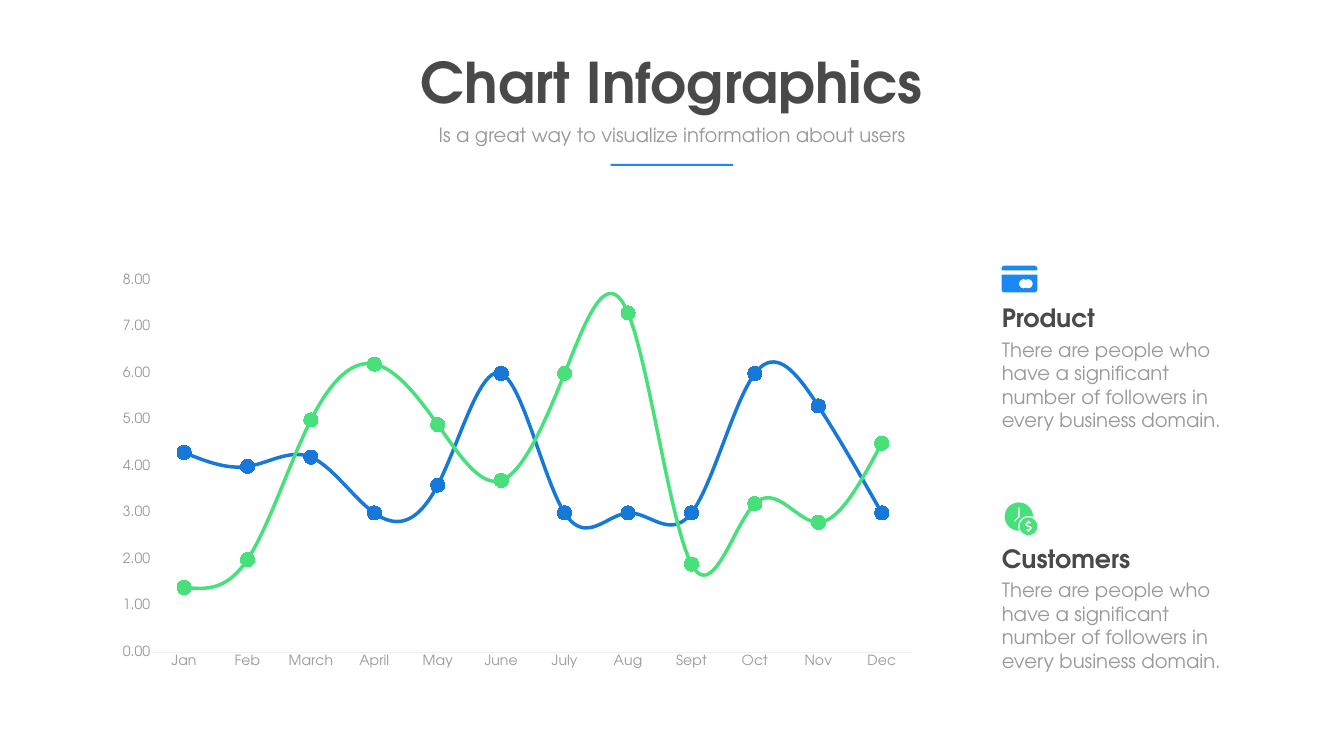
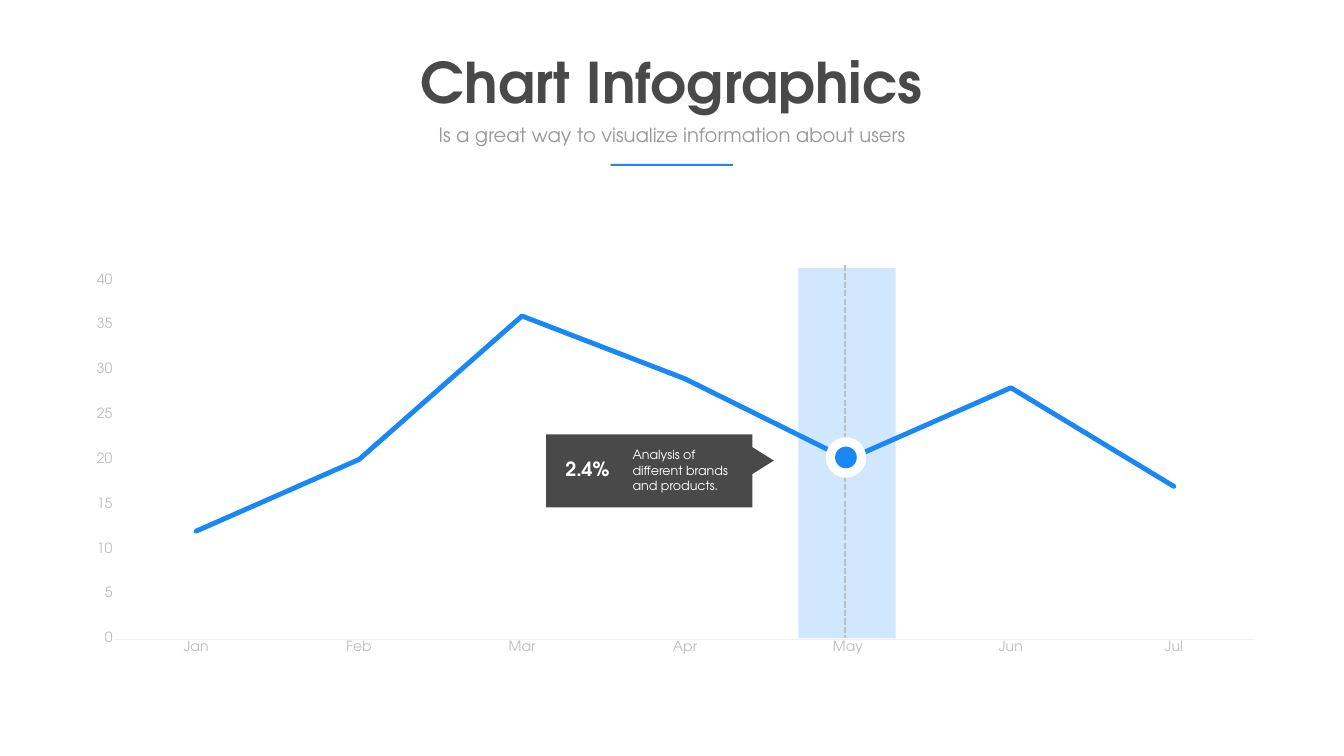
"""Build two line chart slides with a shared title band."""
import dataclasses
import math
import typing

import lxml.etree
import pptx
import pptx.chart.data
import pptx.dml.color
import pptx.enum.chart
import pptx.enum.dml
import pptx.enum.shapes
import pptx.enum.text
import pptx.oxml
import pptx.oxml.ns
import pptx.util

Pt = pptx.util.Pt
Kind = pptx.enum.shapes.MSO_SHAPE
Plot = pptx.enum.chart.XL_CHART_TYPE
Align = pptx.enum.text.PP_ALIGN
Dot = tuple[float, float]
Ring = list[Dot]

FACE = "TeX Gyre Adventor"
HUES = {
    "dark": "494949", "gray": "999999", "pale": "BDBDBD", "axis": "F0F0F0",
    "blue": "1988F5", "deep": "1679D9", "green": "48E07B", "sky": "D1E7FD",
    "dash": "BFBFBF", "white": "FFFFFF",
}
FONTS = {
    "title": {"size": Pt(80), "bold": True},
    "head": {"size": Pt(36), "bold": True},
    "stat": {"size": Pt(28), "bold": True},
    "body": {"size": Pt(28), "bold": False},
    "note": {"size": Pt(18), "bold": False},
    "label": {"size": Pt(20), "bold": False},
}
BLURB = ("There are people who have a significant number of followers "
         "in every business domain.")


@dataclasses.dataclass
class Box:
    """Place and size in points."""
    x: float
    y: float
    w: float
    h: float

    def span(self) -> list[int]:
        """Return the four lengths."""
        return [Pt(v) for v in (self.x, self.y, self.w, self.h)]


@dataclasses.dataclass
class Label:
    """Text in a box with a font role and a colour."""
    text: str
    box: Box
    font: str
    hue: str
    align: typing.Any = Align.LEFT


@dataclasses.dataclass
class Block:
    """Filled preset shape."""
    kind: typing.Any
    box: Box
    hue: str
    turn: float = 0


@dataclasses.dataclass
class Graph:
    """Line chart with its data and look."""
    kind: typing.Any
    box: Box
    cats: list[str]
    rows: list[tuple[str, list[float]]]
    top: float
    step: float
    form: str
    ink: str
    width: float
    smooth: bool
    inner: typing.Optional[dict[str, float]] = None


def tint(hue: str) -> pptx.dml.color.RGBColor:
    """Return a named colour."""
    return pptx.dml.color.RGBColor.from_string(HUES[hue])


def apply(item: typing.Any, vals: dict[str, typing.Any]) -> None:
    """Set each value as an attribute."""
    for name, val in vals.items():
        setattr(item, name, val)


def ink(font: typing.Any, role: str, hue: str) -> None:
    """Style a font by role and colour."""
    apply(font, {"name": FACE, **FONTS[role]})
    font.color.rgb = tint(hue)


def fill(item: typing.Any, hue: str) -> None:
    """Fill a shape without outline or shadow."""
    item.fill.solid()
    item.fill.fore_color.rgb = tint(hue)
    item.line.fill.background()
    item.shadow.inherit = False


def write(slide: typing.Any, label: Label) -> None:
    """Draw a label."""
    frame = slide.shapes.add_textbox(*label.box.span()).text_frame
    frame.word_wrap = True
    par = frame.paragraphs[0]
    apply(par, {"text": label.text, "alignment": label.align})
    ink(par.runs[0].font, label.font, label.hue)


def block(slide: typing.Any, part: Block) -> None:
    """Draw a preset shape."""
    item = slide.shapes.add_shape(part.kind, *part.box.span())
    item.rotation = part.turn
    fill(item, part.hue)


def arc(mid: Dot, rad: float, start: float, end: float) -> Ring:
    """Return points along an arc given in degrees."""
    count = max(4, round(abs(end - start) / 8))
    turns = [math.radians(start + (end - start) * i / count)
             for i in range(count + 1)]
    return [(mid[0] + rad * math.cos(t), mid[1] + rad * math.sin(t))
            for t in turns]


def curb(box: Box, top: float, base: float) -> Ring:
    """Return a box outline with rounded top and base corners."""
    left, right = box.x, box.x + box.w
    low = box.y + box.h
    return (arc((left + top, box.y + top), top, 180, 270)
            + arc((right - top, box.y + top), top, 270, 360)
            + arc((right - base, low - base), base, 0, 90)
            + arc((left + base, low - base), base, 90, 180))


def trace(slide: typing.Any, rings: list[Ring], hue: str) -> None:
    """Draw closed outlines as one freeform."""
    pen = None
    for ring in rings:
        dots = [(Pt(x), Pt(y)) for x, y in ring]
        if pen is None:
            pen = slide.shapes.build_freeform(*dots[0])
        else:
            pen.move_to(*dots[0])
        pen.add_line_segments(dots[1:], close=True)
    fill(pen.convert_to_shape(), hue)


def card(slide: typing.Any) -> None:
    """Draw the bank card icon."""
    trace(slide, [curb(Box(1430.8, 379.5, 51.2, 6.6), 4.4, 1)], "blue")
    pill = (arc((1462.3, 405.4), 6.5, 60, 300)
            + arc((1468.8, 405.4), 6.5, -120, 120))
    trace(slide, [curb(Box(1430.8, 392.4, 51.2, 25.4), 1, 4.4), pill], "blue")


def clock(slide: typing.Any) -> None:
    """Draw the clock and coin icon."""
    mid, coin = (1455.5, 738), (1469.3, 751.8)
    face = arc(mid, 20.2, -2, -266) + arc(coin, 14.7, 157, 291)
    hands = [(-7, 6), (-1, 0), (-1, -13), (1, -13), (1, .6), (-5.6, 7.6)]
    trace(slide, [face, [(mid[0] + x, mid[1] + y) for x, y in hands]], "green")
    half = [(.4, -1), (3.6, 0), (4.7, 2.5), (3.8, 5), (1.1, 6), (1.1, 8),
            (-1.1, 8), (-1.1, 6), (-3.2, 6), (-4, 5), (-3.2, 4), (.4, 4),
            (2, 2.5), (.4, 1)]
    sign = [(coin[0] + k * x, coin[1] + k * y)
            for k in (1, -1) for x, y in half]
    trace(slide, [arc(coin, 12.6, 0, 360), sign], "green")


def graph(slide: typing.Any, plan: Graph) -> None:
    """Draw a line chart."""
    data = pptx.chart.data.CategoryChartData(number_format=plan.form)
    data.categories = plan.cats
    for num, (_, vals) in enumerate(plan.rows, 1):
        data.add_series(f"Series {num}", vals)
    chart = slide.shapes.add_chart(plan.kind, *plan.box.span(), data).chart
    apply(chart, {"has_legend": False, "has_title": False})
    ink(chart.font, "label", "gray")
    none = pptx.enum.chart.XL_TICK_MARK.NONE
    for axis in (chart.category_axis, chart.value_axis):
        apply(axis, {"major_tick_mark": none, "minor_tick_mark": none,
                     "has_major_gridlines": False})
        ink(axis.tick_labels.font, "label", plan.ink)
    apply(chart.value_axis, {"minimum_scale": 0, "maximum_scale": plan.top,
                             "major_unit": plan.step})
    apply(chart.value_axis.tick_labels, {"number_format": plan.form,
                                         "number_format_is_linked": False})
    chart.value_axis.format.line.fill.background()
    base = chart.category_axis.format.line
    base.color.rgb = tint("axis")
    base.width = Pt(.75)
    for row, (hue, _) in zip(chart.plots[0].series, plan.rows):
        row.smooth = plan.smooth
        row.format.line.color.rgb = tint(hue)
        row.format.line.width = Pt(plan.width)
        if plan.kind == Plot.LINE_MARKERS:
            apply(row.marker, {
                "style": pptx.enum.chart.XL_MARKER_STYLE.CIRCLE, "size": 20})
            row.marker.format.fill.solid()
            row.marker.format.fill.fore_color.rgb = tint(hue)
            row.marker.format.line.color.rgb = tint(hue)
    root = chart._chartSpace
    for line in root.xpath("//c:ser/c:spPr/a:ln"):
        line.set("cap", "rnd")
    if plan.inner:
        area = root.xpath("//c:plotArea")[0]
        for old in area.xpath("c:layout"):
            area.remove(old)
        marks = {"layoutTarget": "inner", "xMode": "edge", "yMode": "edge",
                 **plan.inner}
        tags = "".join(f'<c:{k} val="{v}"/>' for k, v in marks.items())
        area.insert(0, pptx.oxml.parse_xml(
            f'<c:layout {pptx.oxml.ns.nsdecls("c")}><c:manualLayout>{tags}'
            '</c:manualLayout></c:layout>'))


def guide(slide: typing.Any, x: float, top: float, low: float) -> None:
    """Draw a dashed upright line."""
    link = slide.shapes.add_connector(
        pptx.enum.shapes.MSO_CONNECTOR.STRAIGHT, Pt(x), Pt(top), Pt(x), Pt(low))
    link.line.color.rgb = tint("dash")
    apply(link.line, {"width": Pt(3),
                      "dash_style": pptx.enum.dml.MSO_LINE.SQUARE_DOT})
    lxml.etree.SubElement(link._element.spPr, pptx.oxml.ns.qn("a:effectLst"))


def start(deck: typing.Any) -> typing.Any:
    """Add a slide with the shared title band."""
    slide = deck.slides.add_slide(deck.slide_layouts[6])
    write(slide, Label("Chart Infographics", Box(495, 65, 930, 104),
                       "title", "dark", Align.CENTER))
    write(slide, Label("Is a great way to visualize information about users",
                       Box(615, 171.5, 690, 41), "body", "gray", Align.CENTER))
    block(slide, Block(Kind.RECTANGLE, Box(872.5, 234, 175, 3), "blue"))
    return slide


def trends(deck: typing.Any) -> None:
    """Build the slide with two curves."""
    slide = start(deck)
    months = ["Jan", "Feb", "March", "April", "May", "June",
              "July", "Aug", "Sept", "Oct", "Nov", "Dec"]
    rows = [("deep", [4.3, 4, 4.2, 3, 3.6, 6, 3, 3, 3, 6, 5.3, 3]),
            ("green", [1.4, 2, 5, 6.2, 4.9, 3.7, 6, 7.3, 1.9, 3.2, 2.8, 4.5])]
    graph(slide, Graph(Plot.LINE_MARKERS, Box(152, 379.5, 1176.5, 586), months,
                       rows, 8, 1, "#,##0.00", "gray", 5, True))
    clock(slide)
    card(slide)
    for num, name in enumerate(("Product", "Customers")):
        y = 428.5 + 343.5 * num
        write(slide, Label(name, Box(1424, y, 344, 51), "head", "dark"))
        write(slide, Label(BLURB, Box(1424, y + 50.5, 344, 143),
                           "body", "gray"))


def focus(deck: typing.Any) -> None:
    """Build the slide with one marked month."""
    slide = start(deck)
    block(slide, Block(Kind.RECTANGLE, Box(1140.5, 383, 139, 529), "sky"))
    months = ["Jan", "Feb", "Mar", "Apr", "May", "Jun", "Jul"]
    graph(slide, Graph(Plot.LINE, Box(116.5, 378.5, 1687, 572.5), months,
                       [("blue", [12, 20, 36, 29, 20, 28, 17])], 40, 5,
                       "General", "pale", 7, False,
                       {"x": .028, "y": .038, "w": .966, "h": .895}))
    guide(slide, 1207.5, 378.5, 912)
    for size, hue in ((58, "white"), (31, "blue")):
        spot = Box(1208.5 - size / 2, 653.5 - size / 2, size, size)
        block(slide, Block(Kind.OVAL, spot, hue))
    block(slide, Block(Kind.RECTANGLE, Box(780, 620.5, 295, 104.5), "dark"))
    block(slide, Block(Kind.ISOSCELES_TRIANGLE, Box(1060.5, 638, 50, 40),
                       "dark", 90))
    write(slide, Label("2.4%", Box(800.5, 648.5, 91.5, 41), "stat", "white"))
    write(slide, Label("Analysis of different brands and products.",
                       Box(896.5, 635.5, 154, 73), "note", "white"))


def main() -> None:
    """Build and save the deck."""
    deck = pptx.Presentation()
    apply(deck, {"slide_width": Pt(1920), "slide_height": Pt(1080)})
    trends(deck)
    focus(deck)
    deck.save("out.pptx")


if __name__ == "__main__":
    main()
